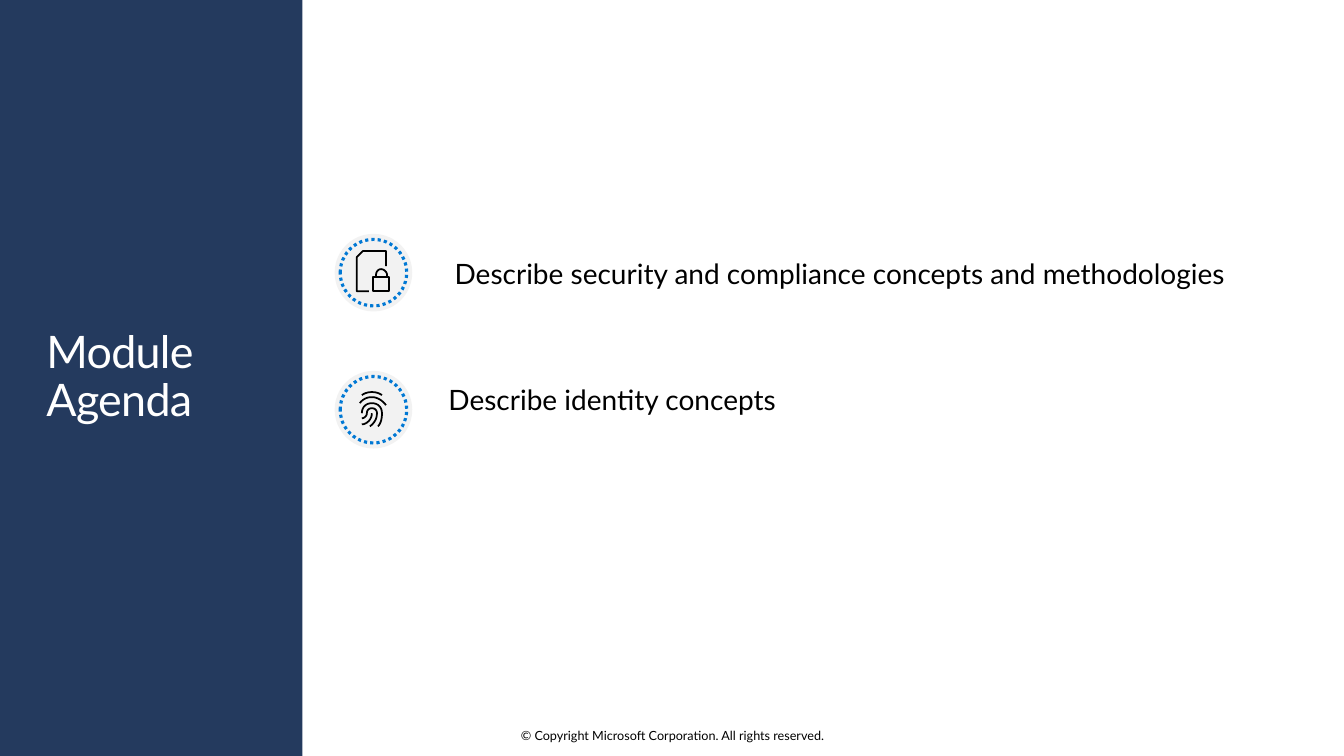
"""Build the module agenda slide with a side panel and two icon topics."""
from pptx import Presentation
from pptx.dml.color import RGBColor
from pptx.enum.dml import MSO_LINE
from pptx.enum.shapes import MSO_SHAPE
from pptx.enum.text import MSO_ANCHOR, MSO_AUTO_SIZE, PP_ALIGN
from pptx.oxml.xmlchemy import OxmlElement
from pptx.util import Inches, Pt

OVAL, RECTANGLE = MSO_SHAPE.OVAL, MSO_SHAPE.RECTANGLE
DOTTED = MSO_LINE.ROUND_DOT
TOP, MIDDLE = MSO_ANCHOR.TOP, MSO_ANCHOR.MIDDLE
LEFT, CENTER = PP_ALIGN.LEFT, PP_ALIGN.CENTER
NO_AUTOFIT = MSO_AUTO_SIZE.NONE

FONT = "Lato"
COLORS = {"panel": "243A5E", "disc": "F2F2F2", "ring": "0078D4",
          "text": "000000", "title": "FFFFFF"}

TITLE_LINES = ["Module", "Agenda"]
TOPICS = ["Describe security and compliance concepts and methodologies",
          "Describe identity concepts"]
COPYRIGHT = "© Copyright Microsoft Corporation. All rights reserved."

LOCKED_FILE = [
    ("line", [(3.66, 2.89), (3.54, 2.89), (3.54, 2.55), (3.6, 2.49), (3.83, 2.49), (3.83, 2.64)]),
    ("line", [(3.86, 2.75), (3.7, 2.75), (3.7, 2.89), (3.86, 2.89), (3.86, 2.75)]),
    ("curve", [(3.84, 2.73), (3.84, 2.7), (3.81, 2.67), (3.78, 2.67),
               (3.75, 2.67), (3.73, 2.7), (3.73, 2.73)]),
    ("line", [(3.84, 2.75), (3.84, 2.73)]),
    ("line", [(3.73, 2.73), (3.73, 2.75)]),
]
FINGERPRINT = [
    ("curve", [(3.69, 4.1), (3.69, 4.16), (3.64, 4.21), (3.59, 4.21)]),
    ("curve", [(3.79, 3.92), (3.76, 3.9), (3.73, 3.89), (3.69, 3.89),
               (3.65, 3.89), (3.62, 3.9), (3.59, 3.92)]),
    ("curve", [(3.83, 4.02), (3.8, 3.98), (3.75, 3.94), (3.69, 3.94),
               (3.64, 3.94), (3.6, 3.96), (3.57, 4)]),
    ("curve", [(3.75, 4.23), (3.78, 4.2), (3.79, 4.15), (3.79, 4.1), (3.79, 4.04),
               (3.75, 4), (3.69, 4), (3.63, 4), (3.59, 4.04), (3.59, 4.1)]),
    ("curve", [(3.67, 4.23), (3.71, 4.2), (3.74, 4.16), (3.74, 4.1), (3.74, 4.07),
               (3.72, 4.05), (3.69, 4.05), (3.66, 4.05), (3.64, 4.07), (3.64, 4.1),
               (3.64, 4.13), (3.61, 4.15), (3.59, 4.15)]),
]
BADGES = [(2.32, LOCKED_FILE), (3.68, FINGERPRINT)]
BADGE_LEFT, DISC_SIZE, RING_SIZE = 3.32, 0.77, 0.66
CURVE_STEPS = 8


def color(name):
    return RGBColor.from_string(COLORS[name])


def place(shape, box):
    shape.left, shape.top, shape.width, shape.height = map(Inches, box)


def add_preset(shapes, kind, box, fill=None, line=None):
    shape = shapes.add_shape(kind, *map(Inches, box))
    shape.shadow.inherit = False
    if fill:
        shape.fill.solid()
        shape.fill.fore_color.rgb = color(fill)
    else:
        shape.fill.background()
    if line:
        shape.line.color.rgb = color(line)
        shape.line.width = Pt(2.25)
        shape.line.dash_style = DOTTED
    else:
        shape.line.fill.background()
    return shape


def curve_points(controls):
    points = [controls[0]]
    for start in range(0, len(controls) - 1, 3):
        segment = controls[start:start + 4]
        for step in range(1, CURVE_STEPS + 1):
            t = step / CURVE_STEPS
            weights = ((1 - t) ** 3, 3 * t * (1 - t) ** 2, 3 * t * t * (1 - t), t ** 3)
            points.append(tuple(sum(weight * point[axis] for weight, point in zip(weights, segment))
                                for axis in (0, 1)))
    return points


def add_icon(shapes, strokes):
    builder = None
    for kind, controls in strokes:
        points = curve_points(controls) if kind == "curve" else controls
        points = [(Inches(x), Inches(y)) for x, y in points]
        if builder is None:
            builder = shapes.build_freeform(*points[0])
        else:
            builder.move_to(*points[0])
        builder.add_line_segments(points[1:], close=False)
    icon = builder.convert_to_shape()
    icon.shadow.inherit = False
    icon.fill.background()
    icon.line.color.rgb = color("text")
    icon.line.width = Pt(1.25)


def add_badge(slide, top, strokes):
    shapes = slide.shapes.add_group_shape().shapes
    inset = (DISC_SIZE - RING_SIZE) / 2
    add_preset(shapes, OVAL, (BADGE_LEFT, top, DISC_SIZE, DISC_SIZE), fill="disc")
    add_preset(shapes, OVAL, (BADGE_LEFT + inset, top + inset, RING_SIZE, RING_SIZE), line="ring")
    add_icon(shapes, strokes)


def write(shape, lines, size, ink, anchor, margins, align=LEFT, spacing=None):
    frame = shape.text_frame
    frame.word_wrap = True
    frame.auto_size = NO_AUTOFIT
    frame.vertical_anchor = anchor
    frame.margin_left, frame.margin_top, frame.margin_right, frame.margin_bottom = map(Inches, margins)
    paragraph = frame.paragraphs[0]
    properties = paragraph._p.get_or_add_pPr()
    properties.set("marL", "0")
    properties.set("indent", "0")
    properties.append(OxmlElement("a:buNone"))
    paragraph.alignment = align
    paragraph.space_before = Pt(0)
    if spacing:
        paragraph.line_spacing = spacing
    for index, line in enumerate(lines):
        if index:
            paragraph.add_line_break()
        run = paragraph.add_run()
        run.text = line
        run.font.name = FONT
        run.font.size = Pt(size)
        run.font.color.rgb = color(ink)
        if ink == "title":
            run._r.get_or_add_rPr().set("spc", "-50")


def main():
    presentation = Presentation()
    presentation.slide_width, presentation.slide_height = Inches(13.333), Inches(7.5)
    slide = presentation.slides.add_slide(presentation.slide_layouts[1])
    shapes = slide.shapes

    panel = add_preset(shapes, RECTANGLE, (0, 0, 3, 7.5), fill="panel")
    shapes.title.element.addprevious(panel.element)

    place(shapes.title, (0.46, 3.38, 2.14, 0.74))
    write(shapes.title, TITLE_LINES, 32, "title", MIDDLE, (0, 0.1, 0.16, 0.1), spacing=0.9)

    first_topic = slide.placeholders[1]
    place(first_topic, (4.51, 2.04, 8.42, 1.34))
    write(first_topic, TOPICS[:1], 20, "text", MIDDLE, (0, 0, 0, 0))

    second_topic = shapes.add_textbox(*map(Inches, (4.35, 3.75, 8.42, 0.81)))
    write(second_topic, TOPICS[1:], 20, "text", TOP, (0.1, 0.05, 0.1, 0.05))

    for top, strokes in BADGES:
        add_badge(slide, top, strokes)

    footer = shapes.add_textbox(*map(Inches, (4.42, 7.22, 4.5, 0.15)))
    write(footer, [COPYRIGHT], 9, "text", MIDDLE, (0, 0, 0, 0), align=CENTER)

    presentation.save("out.pptx")


if __name__ == "__main__":
    main()
